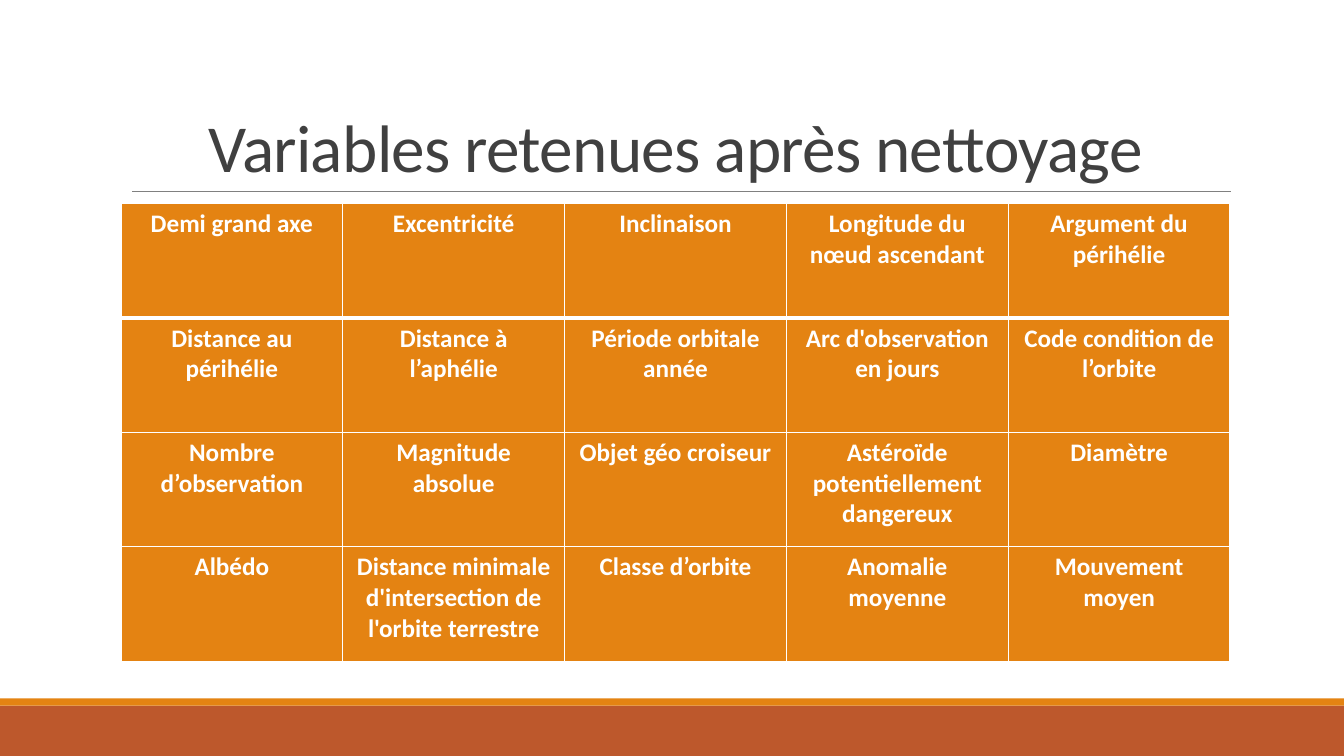
from lxml import etree
from pptx import Presentation
from pptx.dml.color import RGBColor
from pptx.enum.shapes import MSO_CONNECTOR, MSO_SHAPE
from pptx.enum.text import MSO_ANCHOR, MSO_AUTO_SIZE, PP_ALIGN
from pptx.oxml.ns import qn
from pptx.util import Inches, Pt

RECTANGLE = MSO_SHAPE.RECTANGLE
STRAIGHT = MSO_CONNECTOR.STRAIGHT
BOTTOM = MSO_ANCHOR.BOTTOM
NO_AUTOFIT = MSO_AUTO_SIZE.NONE
CENTER = PP_ALIGN.CENTER

FONT = "Calibri"
COLORS = {
    "orange": "E48312",
    "rust": "BD582C",
    "rule": "808080",
    "title": "404040",
    "white": "FFFFFF",
}
VARIABLES = [
    ["Demi grand axe", "Excentricité", "Inclinaison",
     "Longitude du nœud ascendant", "Argument du périhélie"],
    ["Distance au périhélie", "Distance à l’aphélie", "Période orbitale année",
     "Arc d'observation en jours", "Code condition de l’orbite"],
    ["Nombre d’observation", "Magnitude absolue", "Objet géo croiseur",
     "Astéroïde potentiellement dangereux", "Diamètre"],
    ["Albédo", "Distance minimale d'intersection de l'orbite terrestre",
     "Classe d’orbite", "Anomalie moyenne", "Mouvement moyen"],
]


def color(name):
    return RGBColor.from_string(COLORS[name])


def write_text(text_frame, text, size, fill, bold=False, line_spacing=None, tracking=None):
    paragraph = text_frame.paragraphs[0]
    paragraph.alignment = CENTER
    if line_spacing is not None:
        paragraph.line_spacing = line_spacing
    run = paragraph.add_run()
    run.text = text
    run.font.name = FONT
    run.font.size = Pt(size)
    run.font.bold = bold
    run.font.color.rgb = color(fill)
    if tracking is not None:
        run.font._element.set("spc", str(round(tracking * 100)))


def add_border(cell, side, width):
    properties = cell._tc.get_or_add_tcPr()
    line = etree.SubElement(properties, qn(f"a:{side}"), w=str(Pt(width)))
    solid_fill = etree.SubElement(line, qn("a:solidFill"))
    etree.SubElement(solid_fill, qn("a:srgbClr"), val=COLORS["white"])


class SlideBuilder:
    def __init__(self, presentation):
        self.slide = presentation.slides.add_slide(presentation.slide_layouts[5])
        self.shapes = self.slide.shapes

    def background(self, fill):
        self.slide.background.fill.solid()
        self.slide.background.fill.fore_color.rgb = color(fill)

    def band(self, top, height, fill):
        shape = self.shapes.add_shape(
            RECTANGLE, 0, Inches(top), Inches(13.33), Inches(height))
        shape.shadow.inherit = False
        shape.fill.solid()
        shape.fill.fore_color.rgb = color(fill)
        shape.line.fill.background()

    def rule(self, left, right, top):
        connector = self.shapes.add_connector(
            STRAIGHT, Inches(left), Inches(top), Inches(right), Inches(top))
        connector.line.color.rgb = color("rule")
        connector.line.width = Pt(0.5)
        etree.SubElement(connector._element.spPr, qn("a:effectLst"))

    def title(self, text, left, top, width, height):
        title = self.shapes.title
        title.left, title.top = Inches(left), Inches(top)
        title.width, title.height = Inches(width), Inches(height)
        title.text_frame.word_wrap = True
        title.text_frame.auto_size = NO_AUTOFIT
        title.text_frame.vertical_anchor = BOTTOM
        write_text(title.text_frame, text, 48, "title", line_spacing=0.85, tracking=-0.5)

    def table(self, rows, left, top, width, height):
        table = self.shapes.add_table(
            len(rows), len(rows[0]), Inches(left), Inches(top),
            Inches(width), Inches(height)).table
        for row_index, row in enumerate(rows):
            borders = {
                "lnL": 1,
                "lnR": 1,
                "lnT": 3 if row_index == 1 else 1,
                "lnB": 3 if row_index == 0 else 1,
            }
            for column_index, text in enumerate(row):
                cell = table.cell(row_index, column_index)
                for side, border_width in borders.items():
                    add_border(cell, side, border_width)
                cell.fill.solid()
                cell.fill.fore_color.rgb = color("orange")
                write_text(cell.text_frame, text, 18, "white", bold=True)


def main():
    presentation = Presentation()
    presentation.slide_width = Inches(13.33)
    presentation.slide_height = Inches(7.5)
    builder = SlideBuilder(presentation)
    builder.background("white")
    builder.band(7, 0.5, "rust")
    builder.band(6.93, 0.07, "orange")
    builder.rule(1.31, 12.21, 1.9)
    builder.title("Variables retenues après nettoyage", 1.2, 0.31, 11, 1.59)
    builder.table(VARIABLES, 1.2, 2.02, 11, 4.54)
    presentation.save("out.pptx")


if __name__ == "__main__":
    main()
